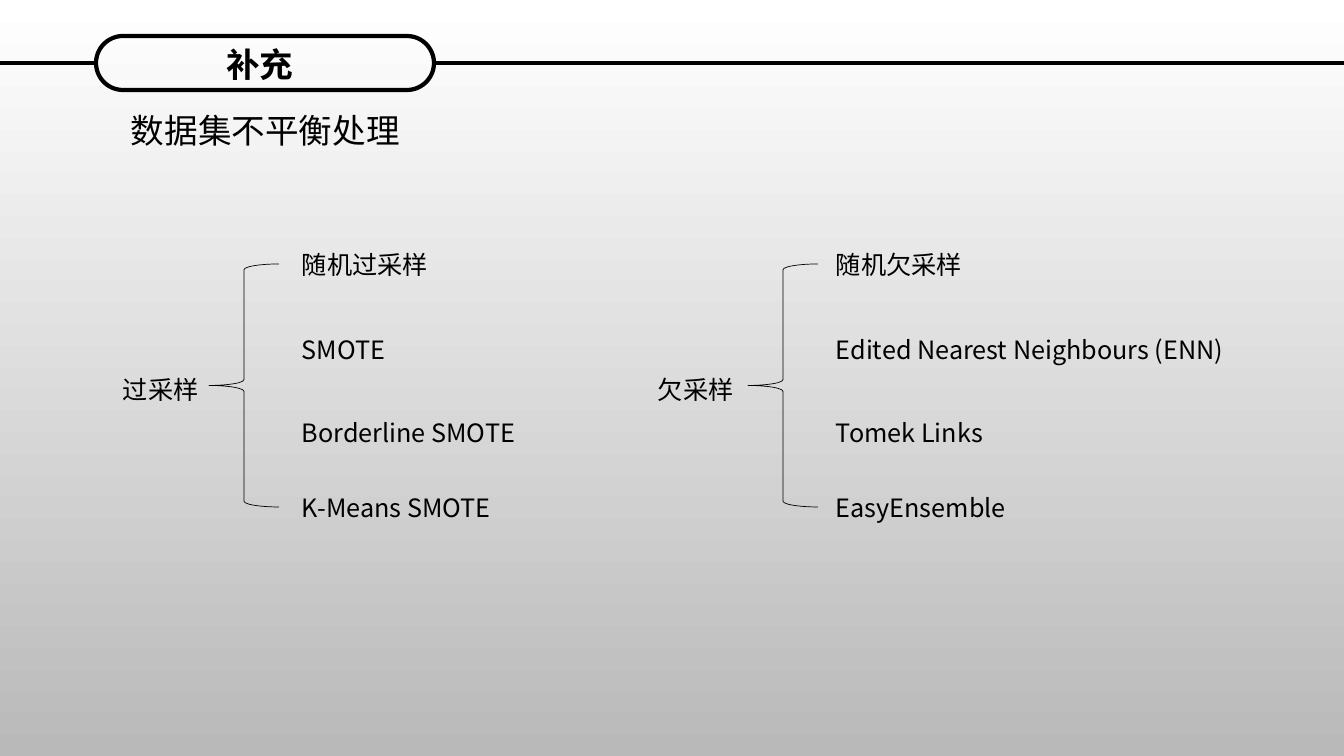
from lxml.etree import SubElement
from pptx import Presentation
from pptx.dml.color import RGBColor
from pptx.enum.shapes import MSO_CONNECTOR, MSO_SHAPE
from pptx.enum.text import MSO_ANCHOR, MSO_AUTO_SIZE, PP_ALIGN
from pptx.oxml.ns import qn
from pptx.util import Pt

EMU_PER_PX = 12192000 / 1344
SLIDE_WIDTH, SLIDE_HEIGHT = 1344, 756
FONT = "Noto Sans CJK SC"
BLACK = "000000"
RULE_Y = 63
ITEM_TOPS = (244, 329, 412, 487)
BRANCHES = (
    ("过采样", 63, 209, 242,
     (("随机过采样", 199), ("SMOTE", 159), ("Borderline SMOTE", 292), ("K-Means SMOTE", 274))),
    ("欠采样", 598, 748, 776,
     (("随机欠采样", 199), ("Edited Nearest Neighbours (ENN)", 482), ("Tomek Links", 220),
      ("EasyEnsemble", 242))),
)


def px(length):
    """Turn whole pixels into EMU."""
    return round(length * EMU_PER_PX)


def color(hex_code):
    """Turn a hex string into a colour."""
    return RGBColor.from_string(hex_code)


def place(part, left, top, width, height):
    """Move and size a part of the slide."""
    part.left, part.top, part.width, part.height = map(px, (left, top, width, height))


def write(part, text, size=18, bold=False, align=PP_ALIGN.LEFT, wrap=True, indent=0):
    """Write one formatted paragraph into a part of the slide."""
    frame = part.text_frame
    frame.word_wrap = wrap
    frame.auto_size = MSO_AUTO_SIZE.SHAPE_TO_FIT_TEXT
    frame.vertical_anchor = MSO_ANCHOR.TOP
    paragraph = frame.paragraphs[0]
    paragraph.alignment = align
    if indent:
        properties = paragraph._p.get_or_add_pPr()
        properties.set("marL", "0")
        properties.set("indent", str(px(indent)))
    run = paragraph.add_run()
    run.text = text
    font = run.font
    font.name, font.size, font.bold = FONT, Pt(size), bold
    font.color.rgb = color(BLACK)
    SubElement(run._r.get_or_add_rPr(), qn("a:ea"), typeface=FONT)


def add_text(slide, text, left, top, width, height, **text_format):
    """Add a text box."""
    box = slide.shapes.add_textbox(*map(px, (left, top, width, height)))
    write(box, text, **text_format)


def add_outline(slide, preset, left, top, width, height, weight):
    """Add an unfilled preset shape with a black line."""
    outline = slide.shapes.add_shape(preset, *map(px, (left, top, width, height)))
    outline.shadow.inherit = False
    outline.fill.background()
    outline.line.color.rgb = color(BLACK)
    outline.line.width = Pt(weight)
    return outline


def add_rule(slide, edge_x, pill, side):
    """Draw a line from a slide edge to one side of the title pill."""
    rule = slide.shapes.add_connector(
        MSO_CONNECTOR.STRAIGHT, px(edge_x), px(RULE_Y), px(edge_x), px(RULE_Y))
    rule.end_connect(pill, side)
    rule.line.color.rgb = color(BLACK)
    rule.line.width = Pt(3)
    SubElement(rule._element.spPr, qn("a:effectLst"))


def add_branch(slide, name, name_left, brace_left, items_left, items):
    """Add a method family, its brace and its methods."""
    add_text(slide, name, name_left, 369, 147, 224, wrap=False, indent=50)
    add_outline(slide, MSO_SHAPE.LEFT_BRACE, brace_left, 264, 70, 243, 0.5)
    for (method, width), top in zip(items, ITEM_TOPS):
        add_text(slide, method, items_left, top, width, 40, wrap=False, indent=50)


def paint_background(slide):
    """Fill the slide from white at the top to grey at the bottom."""
    fill = slide.background.fill
    fill.gradient()
    fill.gradient_angle = 270
    for stop, shade, position in zip(fill.gradient_stops, ("FFFFFF", "B9B9B9"), (0, 1)):
        stop.color.rgb = color(shade)
        stop.position = position


def main():
    """Build and save the slide."""
    deck = Presentation()
    deck.slide_width, deck.slide_height = px(SLIDE_WIDTH), px(SLIDE_HEIGHT)
    slide = deck.slides.add_slide(deck.slide_layouts[5])
    paint_background(slide)

    title = slide.shapes.title
    place(title, 174, 39, 172, 50)
    write(title, "补充", size=24, bold=True, align=PP_ALIGN.CENTER)

    pill = add_outline(slide, MSO_SHAPE.ROUNDED_RECTANGLE, 96, 36, 338, 54, 3)
    pill.adjustments[0] = 0.5
    add_rule(slide, 0, pill, 1)
    add_rule(slide, SLIDE_WIDTH, pill, 3)

    add_text(slide, "数据集不平衡处理", 121, 105, 884, 50, size=24)
    for branch in BRANCHES:
        add_branch(slide, *branch)
    deck.save("out.pptx")


if __name__ == "__main__":
    main()
